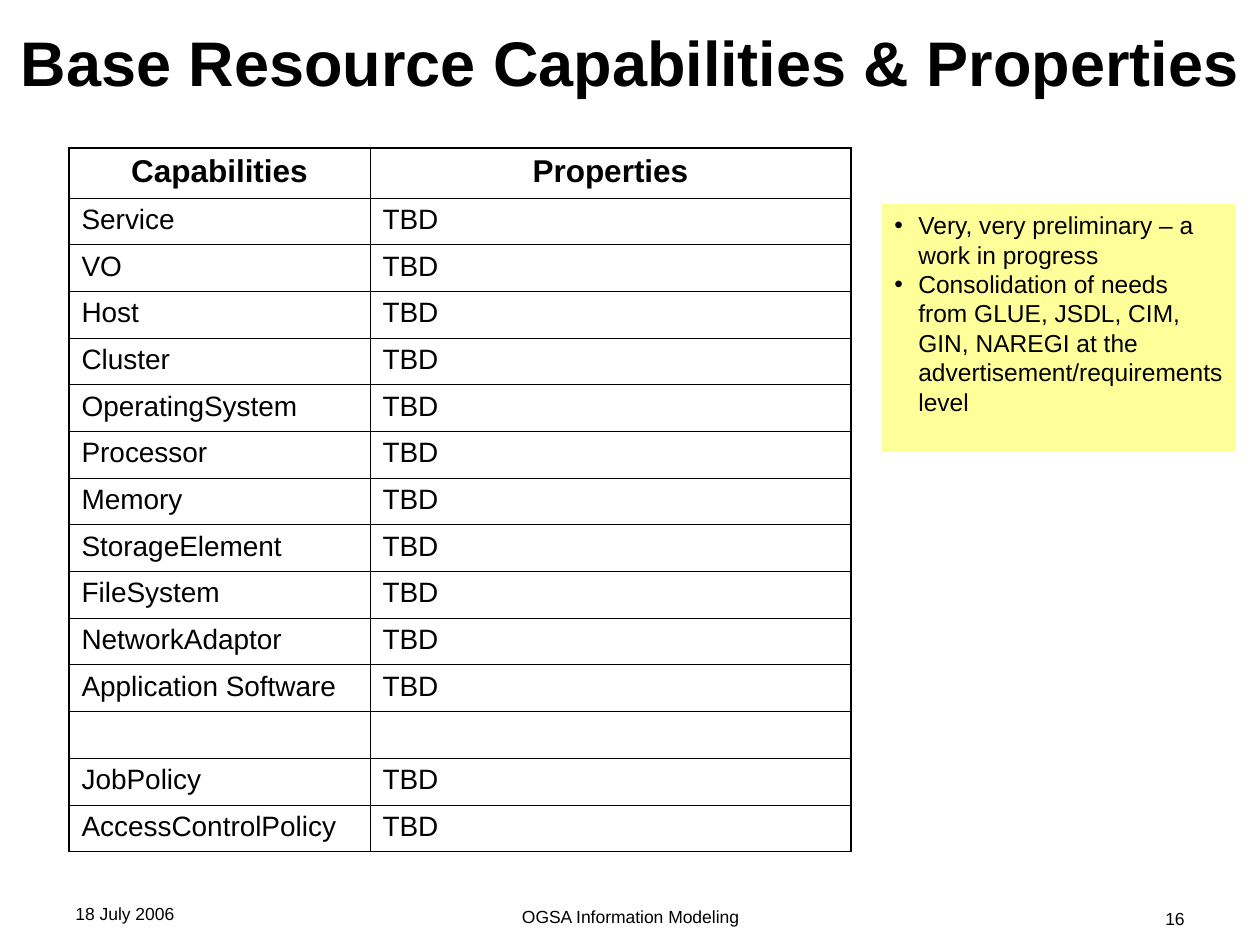
from lxml import etree
from pptx import Presentation
from pptx.dml.color import RGBColor
from pptx.enum.shapes import MSO_SHAPE
from pptx.enum.text import MSO_ANCHOR, PP_ALIGN
from pptx.oxml.ns import qn
from pptx.util import Pt

LEFT, CENTER, RIGHT = PP_ALIGN.LEFT, PP_ALIGN.CENTER, PP_ALIGN.RIGHT
TOP, MIDDLE = MSO_ANCHOR.TOP, MSO_ANCHOR.MIDDLE
BLACK = RGBColor(0x00, 0x00, 0x00)
YELLOW = RGBColor(0xFF, 0xFF, 0x99)
FONT_NAME = "Arial"
EMU_PER_PX = 914400 // 126
THICK, THIN = Pt(1.08), Pt(0.45)

SLIDE_SIZE = (1260, 945)
# text, (left, top, width, height), alignment, anchor, font format
TEXTS = [
    ("Base Resource Capabilities & Properties", (0, 38, 1260, 46), CENTER, MIDDLE,
     {"size": Pt(36), "bold": True}),
    ("OGSA Information Modeling", (431, 900, 399, 26), CENTER, TOP, {"size": Pt(10)}),
    ("16", (903, 902, 294, 24), RIGHT, TOP, {"size": Pt(10)}),
    ("18 July 2006", (63, 897, 294, 29), LEFT, TOP, {"size": Pt(10)}),
]

HEADER = ("Capabilities", "Properties")
CAPABILITIES = [
    "Service", "VO", "Host", "Cluster", "OperatingSystem", "Processor", "Memory",
    "StorageElement", "FileSystem", "NetworkAdaptor", "Application Software",
    "", "JobPolicy", "AccessControlPolicy",
]
ROWS = [HEADER] + [(name, "TBD" if name else "") for name in CAPABILITIES]
TABLE_LEFT, TABLE_TOP = 69, 148
COLUMN_WIDTHS = (301, 481)
HEADER_HEIGHT, BODY_HEIGHT = 50, 654
HEADER_FORMAT = {"size": Pt(18), "bold": True}
BODY_FORMAT = {"size": Pt(16), "bold": False}

NOTES = [
    "Very, very preliminary – a work in progress",
    "Consolidation of needs from GLUE, JSDL, CIM, GIN, NAREGI at the "
    "advertisement/requirements level",
]
NOTE_BOX = (882, 204, 354, 248)
NOTE_INDENT = 24


def px(value):
    return value * EMU_PER_PX


def write(paragraph, text, alignment, font_format):
    paragraph.alignment = alignment
    run = paragraph.add_run()
    run.text = text
    run.font.color.rgb = BLACK
    for name, value in {"name": FONT_NAME, **font_format}.items():
        setattr(run.font, name, value)


def add_text(slide, text, box, alignment, anchor, font_format):
    frame = slide.shapes.add_textbox(*map(px, box)).text_frame
    frame.word_wrap = True
    frame.vertical_anchor = anchor
    write(frame.paragraphs[0], text, alignment, font_format)


def add_border(cell, side, width):
    line = etree.SubElement(cell._tc.get_or_add_tcPr(), qn(f"a:ln{side}"), w=str(width))
    fill = etree.SubElement(line, qn("a:solidFill"))
    etree.SubElement(fill, qn("a:srgbClr"), val=str(BLACK))


def add_table(slide):
    row_count, column_count = len(ROWS), len(HEADER)
    table = slide.shapes.add_table(
        row_count, column_count, px(TABLE_LEFT), px(TABLE_TOP),
        px(sum(COLUMN_WIDTHS)), px(HEADER_HEIGHT + BODY_HEIGHT)).table
    table.first_row = table.horz_banding = False
    for column, width in zip(table.columns, COLUMN_WIDTHS):
        column.width = px(width)
    for row_index, texts in enumerate(ROWS):
        is_header = row_index == 0
        table.rows[row_index].height = (
            px(HEADER_HEIGHT) if is_header else px(BODY_HEIGHT) // (row_count - 1))
        font_format = HEADER_FORMAT if is_header else BODY_FORMAT
        for column_index, text in enumerate(texts):
            cell = table.cell(row_index, column_index)
            outer_sides = {
                "L": column_index == 0,
                "R": column_index == column_count - 1,
                "T": is_header,
                "B": row_index == row_count - 1,
            }
            for side, is_outer in outer_sides.items():
                add_border(cell, side, THICK if is_outer else THIN)
            cell.fill.background()
            paragraph = cell.text_frame.paragraphs[0]
            if text:
                write(paragraph, text, CENTER if is_header else LEFT, font_format)
            else:
                size = str(int(font_format["size"].pt * 100))
                etree.SubElement(paragraph._p, qn("a:endParaRPr"), sz=size)


def add_notes(slide):
    shape = slide.shapes.add_shape(MSO_SHAPE.RECTANGLE, *map(px, NOTE_BOX))
    shape.shadow.inherit = False
    shape.fill.solid()
    shape.fill.fore_color.rgb = YELLOW
    shape.line.fill.background()
    frame = shape.text_frame
    frame.word_wrap = True
    frame.vertical_anchor = TOP
    for index, note in enumerate(NOTES):
        paragraph = frame.add_paragraph() if index else frame.paragraphs[0]
        properties = paragraph._p.get_or_add_pPr()
        properties.set("marL", str(px(NOTE_INDENT)))
        properties.set("indent", str(-px(NOTE_INDENT)))
        etree.SubElement(properties, qn("a:buFont"), typeface=FONT_NAME)
        etree.SubElement(properties, qn("a:buChar"), char="•")
        write(paragraph, note, LEFT, {"size": Pt(14)})


def main():
    presentation = Presentation()
    presentation.slide_width, presentation.slide_height = map(px, SLIDE_SIZE)
    slide = presentation.slides.add_slide(presentation.slide_layouts[6])
    add_table(slide)
    add_notes(slide)
    for text in TEXTS:
        add_text(slide, *text)
    presentation.save("out.pptx")


if __name__ == "__main__":
    main()
